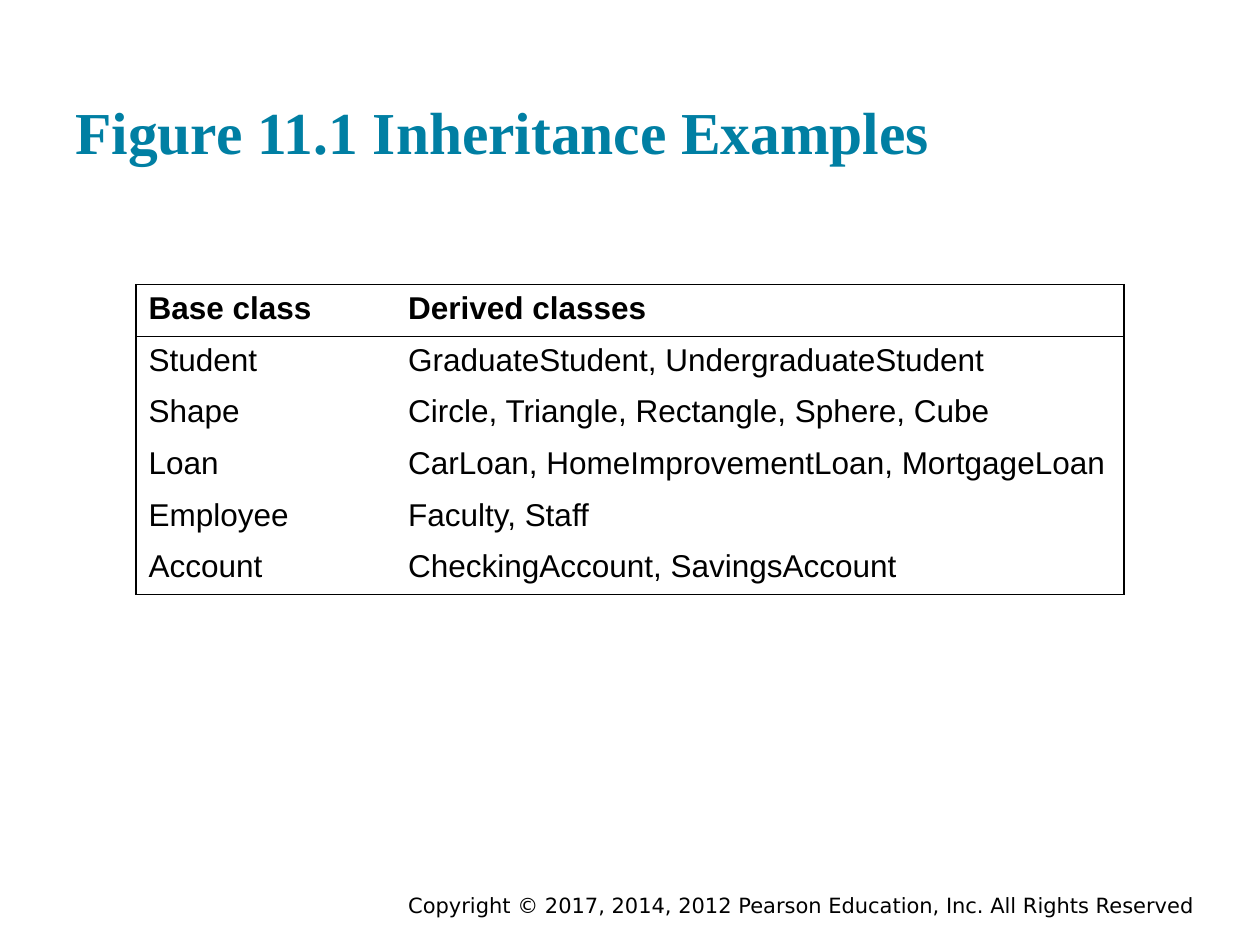
from lxml import etree
from pptx import Presentation
from pptx.dml.color import RGBColor
from pptx.enum.text import MSO_ANCHOR, MSO_AUTO_SIZE, PP_ALIGN
from pptx.oxml.ns import qn
from pptx.util import Inches, Pt

BOTTOM, MIDDLE = MSO_ANCHOR.BOTTOM, MSO_ANCHOR.MIDDLE
LEFT, RIGHT = PP_ALIGN.LEFT, PP_ALIGN.RIGHT
NO_FIT = MSO_AUTO_SIZE.NONE

COLORS = {"title": "007FA3", "text": "000000", "paper": "FFFFFF"}
FORMATS = {
    "title": {"name": "Times New Roman", "size": Pt(34), "bold": True},
    "header": {"name": "Arial", "size": Pt(18), "bold": True},
    "body": {"name": "Arial", "size": Pt(18), "bold": False},
    "footer": {"name": "DejaVu Sans", "size": Pt(12), "bold": False},
}
CLASSES = [
    ("Base class", "Derived classes"),
    ("Student", "GraduateStudent, UndergraduateStudent"),
    ("Shape", "Circle, Triangle, Rectangle, Sphere, Cube"),
    ("Loan", "CarLoan, HomeImprovementLoan, MortgageLoan"),
    ("Employee", "Faculty, Staff"),
    ("Account", "CheckingAccount, SavingsAccount"),
]


class PageBuilder:
    def __init__(self, page):
        self.page = page

    def add_text(self, frame, text, style, color="text", align=LEFT):
        para = frame.paragraphs[0]
        para.alignment = align
        span = para.add_run()
        span.text = text
        for name, value in FORMATS[style].items():
            setattr(span.font, name, value)
        span.font.color.rgb = RGBColor.from_string(COLORS[color])

    def place(self, box, left, top, width, height, anchor):
        box.left, box.top = Inches(left), Inches(top)
        box.width, box.height = Inches(width), Inches(height)
        frame = box.text_frame
        frame.word_wrap = True
        frame.auto_size = NO_FIT
        frame.vertical_anchor = anchor
        return frame

    def title(self, text, *area):
        frame = self.place(self.page.shapes.title, *area, BOTTOM)
        for side in ("left", "right", "top", "bottom"):
            setattr(frame, f"margin_{side}", Inches(0.1))
        self.add_text(frame, text, "title", "title")

    def footer(self, text, *area):
        box = self.page.shapes.add_textbox(0, 0, 0, 0)
        frame = self.place(box, *area, MIDDLE)
        self.add_text(frame, text, "footer", align=RIGHT)

    def borders(self, cell, visible):
        properties = cell._tc.get_or_add_tcPr()
        for side in "LRTB":
            line = etree.SubElement(properties, qn(f"a:ln{side}"), w=str(Pt(1)))
            if side in visible:
                fill = etree.SubElement(line, qn("a:solidFill"))
                etree.SubElement(fill, qn("a:srgbClr"), val=COLORS["text"])
            else:
                etree.SubElement(line, qn("a:noFill"))

    def table(self, rows, left, top, widths, row_height):
        table = self.page.shapes.add_table(
            len(rows), len(widths), Inches(left), Inches(top),
            Inches(sum(widths)), Inches(row_height * len(rows))).table
        table.first_row = table.horz_banding = False
        for column, width in zip(table.columns, widths):
            column.width = Inches(width)
        for r, texts in enumerate(rows):
            table.rows[r].height = Inches(row_height)
            for c, text in enumerate(texts):
                cell = table.cell(r, c)
                visible = "L" if c == 0 else ""
                visible += "R" if c == len(widths) - 1 else ""
                visible += "T" if r < 2 else ""
                visible += "B" if r in (0, len(rows) - 1) else ""
                self.borders(cell, visible)
                cell.fill.solid()
                cell.fill.fore_color.rgb = RGBColor.from_string(COLORS["paper"])
                self.add_text(cell.text_frame, text, "body" if r else "header")


def main():
    deck = Presentation()
    deck.slide_width, deck.slide_height = Inches(10), Inches(7.5)
    builder = PageBuilder(deck.slides.add_slide(deck.slide_layouts[5]))
    builder.footer(
        "Copyright © 2017, 2014, 2012 Pearson Education, Inc. All Rights Reserved",
        2.9, 7.05, 6.68, 0.27)
    builder.title("Figure 11.1 Inheritance Examples", 0.5, 0.25, 9, 1.17)
    builder.table(CLASSES, 1.08, 2.26, (2.06, 5.78), 0.41)
    deck.save("out.pptx")


if __name__ == "__main__":
    main()
